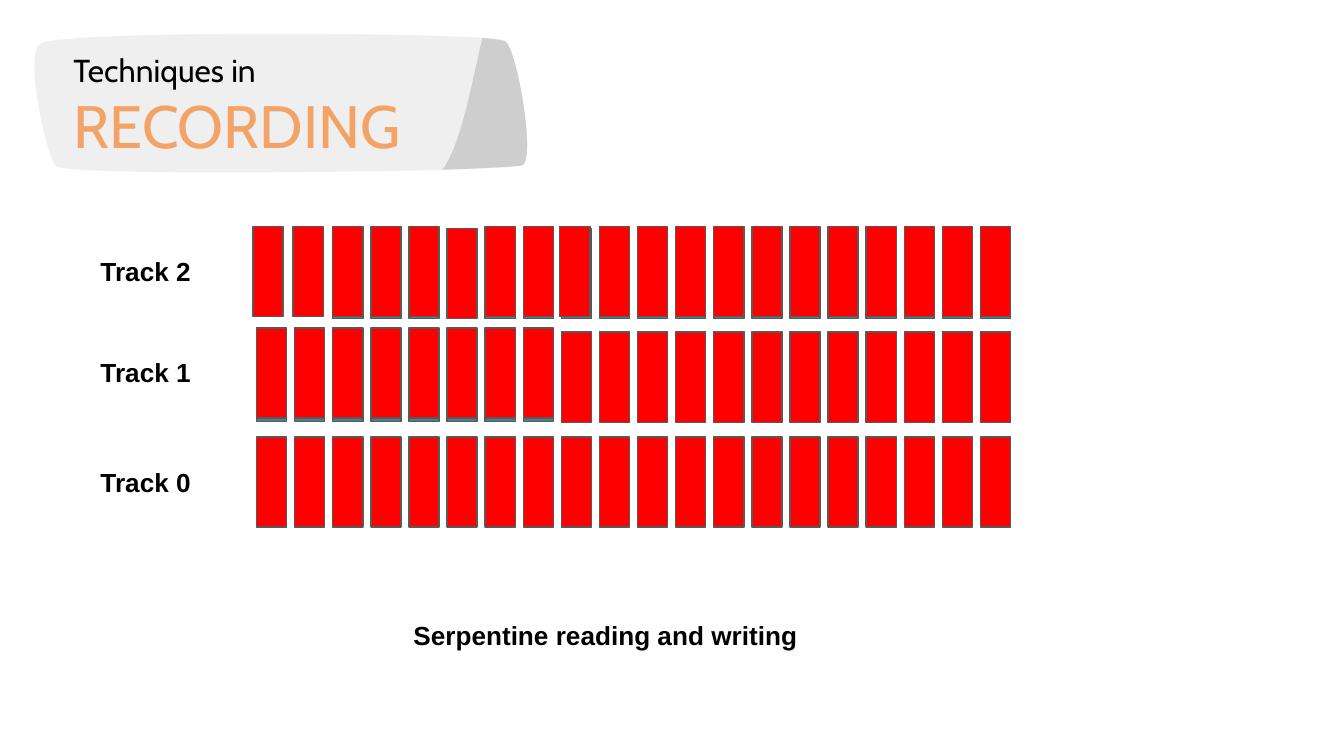
import lxml.etree
import pptx
import pptx.dml.color
import pptx.enum.shapes
import pptx.enum.text
import pptx.oxml.ns
import pptx.util

Cm = pptx.util.Cm
qn = pptx.oxml.ns.qn
BLACK, RED, TEAL = "000000", "FF0000", "45818E"
COLUMNS, PITCH, CELL_WIDTH, CELL_HEIGHT = 20, 0.72, 0.57, 1.7

BANNER = [
    (4.72, 0),
    (2.59, 0), (0.43, 0.05), (0.28, 0.2),
    (0, 0.51), (0.46, 2.46), (0.61, 2.51),
    (0.84, 2.59), (2.13, 2.62), (3.63, 2.62),
    (6.05, 2.62), (9.07, 2.57), (9.4, 2.49),
    (9.68, 2.44), (9.32, 0.3), (9.09, 0.13),
    (8.97, 0.05), (6.86, 0), (4.72, 0),
]
BANNER_END = [
    (8.66, 0.08),
    (8.51, 0.64), (8.28, 2.08), (7.9, 2.57),
    (8.66, 2.54), (9.25, 2.51), (9.4, 2.49),
    (9.68, 2.44), (9.32, 0.3), (9.09, 0.14),
    (9.07, 0.13), (8.92, 0.1), (8.66, 0.08),
]


def color(hex_string):
    """Turn a hex string into a colour."""
    return pptx.dml.color.RGBColor.from_string(hex_string)


def curve_segments(shape):
    """Turn each three line segments of a freeform into one cubic curve."""
    lines = list(shape.element.iter(qn("a:lnTo")))
    for i in range(0, len(lines), 3):
        curve = lxml.etree.Element(qn("a:cubicBezTo"))
        lines[i].addprevious(curve)
        for line in lines[i:i + 3]:
            curve.append(line[0])
            line.getparent().remove(line)


def add_curved_shape(shapes, left, top, outline, fill):
    """Draw a closed curved outline relative to a left top corner."""
    points = [(Cm(left + x), Cm(top + y)) for x, y in outline]
    builder = shapes.build_freeform(*points[0])
    builder.add_line_segments(points[1:])
    s = builder.convert_to_shape()
    curve_segments(s)
    s.shadow.inherit = False
    s.fill.solid()
    s.fill.fore_color.rgb = color(fill)
    s.line.fill.background()


def add_text(shapes, left, top, width, height, lines, font="Arial", bold=False):
    """Add a text box of (text, size, colour) lines and return it."""
    box = shapes.add_textbox(Cm(left), Cm(top), Cm(width), Cm(height))
    tf = box.text_frame
    tf.word_wrap = True
    tf.margin_left = tf.margin_right = tf.margin_top = tf.margin_bottom = Cm(0.25)
    tf.text = "\n".join(text for text, _, _ in lines)
    for p, (_, size, fill) in zip(tf.paragraphs, lines):
        for r in p.runs:
            r.font.name = font
            r.font.size = pptx.util.Pt(size)
            r.font.bold = bold
            r.font.color.rgb = color(fill)
    return box


def add_label(shapes, left, top, width, text):
    """Add a bold one-line label and return it."""
    box = add_text(shapes, left, top, width, 1.12, [(text, 14, BLACK)], bold=True)
    box.text_frame.auto_size = pptx.enum.text.MSO_AUTO_SIZE.SHAPE_TO_FIT_TEXT
    return box


def add_title(slide, left, top):
    """Place the title banner and its two lines of text."""
    shapes = slide.shapes.add_group_shape().shapes
    add_curved_shape(shapes, left, top, BANNER, "EFEFEF")
    add_curved_shape(shapes, left, top, BANNER_END, "CECECE")
    lines = [("Techniques in", 17, BLACK), ("RECORDING", 32, "F2A365")]
    box = add_text(shapes, left + 0.68, top + 0.37, 7.85, 1.98, lines, "Cabin")
    box.text_frame.vertical_anchor = pptx.enum.text.MSO_ANCHOR.MIDDLE


def add_cells(slide, left, top, fill, columns, shifts=None):
    """Place the cells of a track in the given columns, nudged by any shifts."""
    for column in columns:
        dx, dy = (shifts or {}).get(column, (0, 0))
        s = slide.shapes.add_shape(
            pptx.enum.shapes.MSO_SHAPE.RECTANGLE,
            Cm(left + column * PITCH + dx), Cm(top + dy),
            Cm(CELL_WIDTH), Cm(CELL_HEIGHT))
        s.shadow.inherit = False
        s.fill.solid()
        s.fill.fore_color.rgb = color(fill)
        s.line.color.rgb = color("595959")
        s.line.width = pptx.util.Pt(0.75)


def add_tracks(slide, left, top):
    """Place the three tracks, lower layer first, with their labels."""
    for number, dy, width in ((2, 0.29, 2.57), (1, 2.2, 2.79), (0, 4.28, 2.57)):
        add_label(slide.shapes, left, top + dy, width, f"Track {number}")
    x = left + 3.2
    every = range(COLUMNS)
    add_cells(slide, x, top + 0.04, TEAL, [c for c in every if c not in (0, 1, 5)])
    add_cells(slide, x, top + 1.99, TEAL, every)
    add_cells(slide, x, top + 3.98, RED, every)
    add_cells(slide, x, top + 2.01, RED, reversed(range(8, COLUMNS)))
    add_cells(slide, x, top + 1.92, RED, reversed(range(8)))
    shifts = {0: (-0.07, 0), 1: (-0.03, 0), 5: (0, 0.04), 8: (-0.03, 0)}
    add_cells(slide, x, top, RED, every, shifts)


def main():
    """Build the slide and save it."""
    prs = pptx.Presentation()
    prs.slide_width, prs.slide_height = Cm(25.4), Cm(14.29)
    slide = prs.slides.add_slide(prs.slide_layouts[6])
    add_title(slide, 0.46, 0.64)
    caption = add_label(slide.shapes, 6.86, 11.46, 9.17, "Serpentine reading and writing")
    caption.text_frame.paragraphs[0].alignment = pptx.enum.text.PP_ALIGN.CENTER
    add_tracks(slide, 1.65, 4.28)
    prs.save("out.pptx")


if __name__ == "__main__":
    main()
